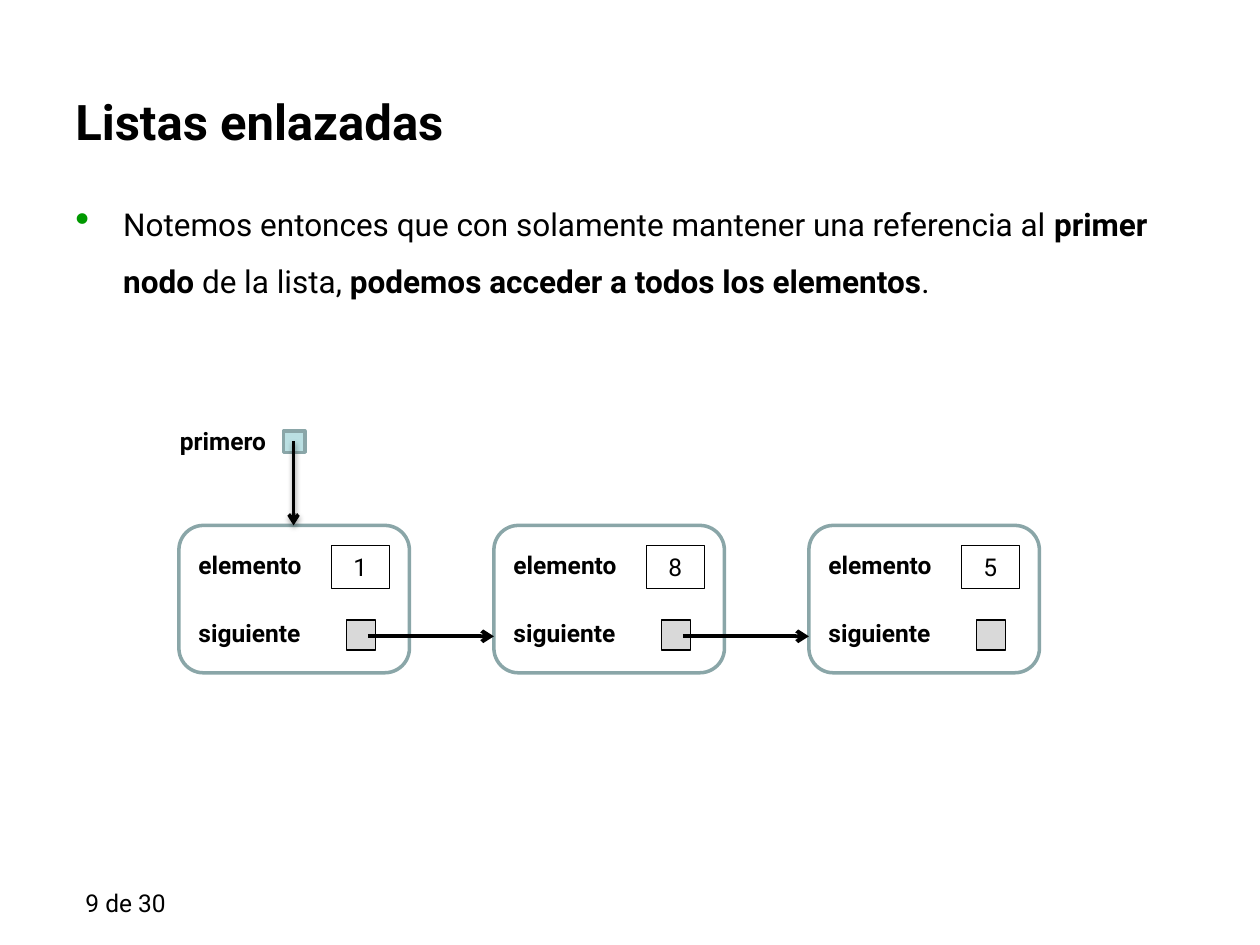
from lxml.etree import SubElement as Sub
from pptx import Presentation
from pptx.dml.color import RGBColor
from pptx.enum.shapes import MSO_CONNECTOR as Conn, MSO_SHAPE as Shape
from pptx.enum.text import MSO_ANCHOR as Anchor, PP_ALIGN as Align
from pptx.oxml.ns import qn
from pptx.util import Inches, Pt

# Content
TITLE = "Listas enlazadas"
BODY = [
    ("Notemos entonces que con solamente mantener una referencia al ", False),
    ("primer nodo", True),
    (" de la lista, ", False),
    ("podemos acceder a todos los elementos", True),
    (".", False),
]
FIELDS = ["elemento", "siguiente"]
VALUES = ["1", "8", "5"]
HEAD = "primero"
PAGE = "9 de 30"

# Grid of nodes, in inches
LEFT, TOP, STEP = 1.42, 4.17, 2.5
WIDE, HIGH = 1.83, 1.17
LINK = TOP + 0.88

FONT, EDGE, BLACK, WHITE = "Roboto", "8AA6A8", "000000", "FFFFFF"

prs = Presentation()
prs.slide_width, prs.slide_height = Inches(10), Inches(7.5)
slide = prs.slides.add_slide(prs.slide_layouts[6])
shapes = slide.shapes


def color(code):
    return RGBColor.from_string(code)


def style(run, size, bold):
    run.font.name, run.font.size, run.font.bold = FONT, Pt(size), bold
    run.font.color.rgb = color(BLACK)


def write(frame, lines, size, bold=False, align=Align.LEFT, gap=0):
    frame.text = "\n".join(lines)
    for i, par in enumerate(frame.paragraphs):
        par.alignment = align
        par.space_before = Pt(gap if i else 0)
        style(par.runs[0], size, bold)


def label(text, x, y, w, h, size, bold=False, wrap=True):
    frame = shapes.add_textbox(*map(Inches, (x, y, w, h))).text_frame
    frame.word_wrap = wrap
    if text:
        write(frame, [text], size, bold)
    return frame


def box(kind, x, y, w, h, fill, line, width):
    item = shapes.add_shape(kind, *map(Inches, (x, y, w, h)))
    item.shadow.inherit = False
    item.fill.solid()
    item.fill.fore_color.rgb = color(fill)
    item.line.color.rgb = color(line)
    item.line.width = Pt(width)
    return item


def arrow(x1, y1, x2, y2, width, shadow=False):
    item = shapes.add_connector(Conn.STRAIGHT, *map(Inches, (x1, y1, x2, y2)))
    item.line.color.rgb = color(BLACK)
    item.line.width = Pt(width)
    Sub(item.line._get_or_add_ln(), qn("a:tailEnd"), type="arrow")
    effects = Sub(item._element.spPr, qn("a:effectLst"))
    if shadow:
        cast = Sub(effects, qn("a:outerShdw"), blurRad=str(Pt(3.1)),
                   dist=str(Pt(1.6)), dir="5400000", rotWithShape="0")
        tint = Sub(cast, qn("a:srgbClr"), val=BLACK)
        Sub(tint, qn("a:alpha"), val="38000")


# Page number and title
label(PAGE, 0.58, 7, 1.33, 0.33, 14)
label(TITLE, 0.5, 0.67, 9, 0.58, 28, True).vertical_anchor = Anchor.MIDDLE

# Bulleted statement
par = label("", 0.5, 1.43, 9, 0.58, 18).paragraphs[0]
par.line_spacing = 1.5
props = par._p.get_or_add_pPr()
props.set("marL", str(Inches(0.38)))
props.set("indent", str(Inches(-0.38)))
Sub(Sub(props, qn("a:buClr")), qn("a:srgbClr"), val="009900")
Sub(props, qn("a:buSzPct"), val="130000")
Sub(props, qn("a:buChar"), char="•")
for text, bold in BODY:
    run = par.add_run()
    run.text = text
    style(run, 18, bold)

# Nodes with their value and link cells
for i, value in enumerate(VALUES):
    x = LEFT + i * STEP
    node = box(Shape.ROUNDED_RECTANGLE, x, TOP, WIDE, HIGH, WHITE, EDGE, 2)
    node.text_frame.vertical_anchor = Anchor.MIDDLE
    write(node.text_frame, FIELDS, 14, True, gap=22)
    cell = box(Shape.RECTANGLE, x + 1.21, TOP + 0.16, 0.46, 0.34,
               WHITE, BLACK, 0.75)
    cell.text_frame.vertical_anchor = Anchor.TOP
    write(cell.text_frame, [value], 14, align=Align.CENTER)
    box(Shape.RECTANGLE, x + 1.33, TOP + 0.75, 0.23, 0.24,
        "D9D9D9", BLACK, 0.75)

# Reference to the first node
label(HEAD, 1.33, 3.33, 0.94, 0.34, 14, True, False)
box(Shape.RECTANGLE, 2.25, 3.42, 0.17, 0.17, "BBE0E3", EDGE, 2)
arrow(2.33, 3.5, 2.33, TOP, 2, True)

# Links between neighbours
for i in range(len(VALUES) - 1):
    x = LEFT + i * STEP
    arrow(x + 1.5, LINK, x + STEP, LINK, 2.25)

prs.save("out.pptx")
